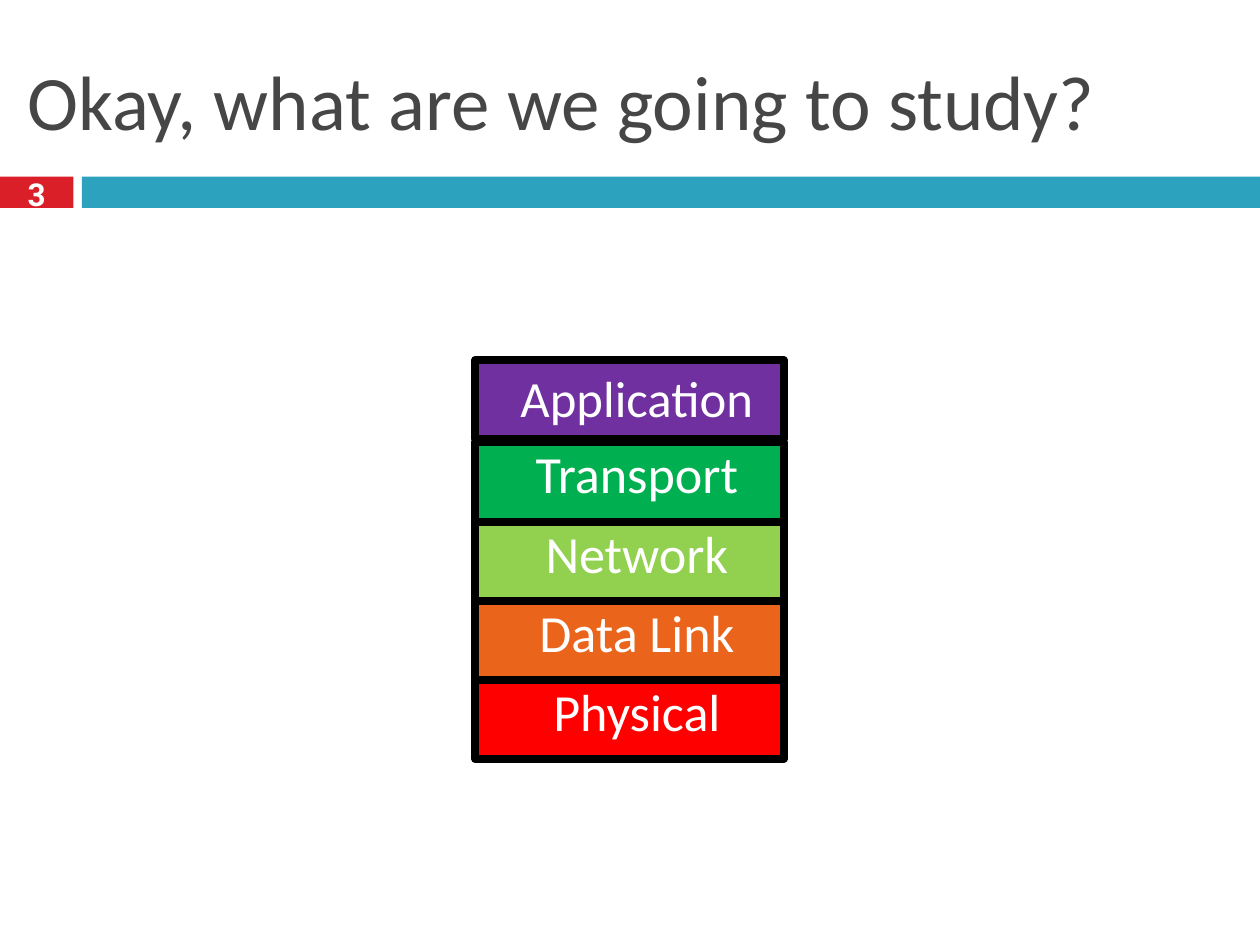
from pptx import Presentation
from pptx.dml.color import RGBColor
from pptx.enum.shapes import MSO_SHAPE
from pptx.enum.text import MSO_ANCHOR, MSO_AUTO_SIZE, PP_ALIGN
from pptx.util import Cm, Pt

COLORS = {
    "title": "464646",
    "badge": "DA1F28",
    "rule": "2DA2BF",
    "white": "FFFFFF",
    "outline": "000000",
    "application": "7030A0",
    "transport": "00B050",
    "network": "92D050",
    "data_link": "EB641B",
    "physical": "FF0000",
}

LAYERS = [
    ("Application", "application", 7.26),
    ("Transport", "transport", 8.92),
    ("Network", "network", 10.52),
    ("Data Link", "data_link", 12.11),
    ("Physical", "physical", 13.7),
]


def color(name):
    return RGBColor.from_string(COLORS[name])


def write(holder, text, size, ink="white", font="Calibri", bold=False,
          align=PP_ALIGN.CENTER, anchor=MSO_ANCHOR.MIDDLE, wrap=True,
          indent=None, before=0, spacing=1.0):
    frame = holder.text_frame
    frame.auto_size = MSO_AUTO_SIZE.NONE
    frame.word_wrap = wrap
    frame.vertical_anchor = anchor
    frame.margin_left = frame.margin_right = Cm(0.13)
    frame.margin_top = frame.margin_bottom = Cm(0.13)
    paragraph = frame.paragraphs[0]
    paragraph.alignment = align
    paragraph.space_before = Pt(before)
    paragraph.line_spacing = spacing
    if indent is not None:
        properties = paragraph._p.get_or_add_pPr()
        properties.set("marL", "0")
        properties.set("indent", str(indent))
    run = paragraph.add_run()
    run.text = text
    run.font.size = Pt(size)
    run.font.name = font
    run.font.bold = bold
    run.font.color.rgb = color(ink)


def add_block(slide, left, top, width, height, fill, outline=None):
    block = slide.shapes.add_shape(
        MSO_SHAPE.RECTANGLE, Cm(left), Cm(top), Cm(width), Cm(height))
    block.shadow.inherit = False
    block.fill.solid()
    block.fill.fore_color.rgb = color(fill)
    if outline:
        block.line.color.rgb = color(outline)
        block.line.width = Pt(4.5)
    else:
        block.line.fill.background()
    return block


def add_title(slide, text):
    title = slide.shapes.title
    title.left, title.top = Cm(0.43), Cm(0.64)
    title.width, title.height = Cm(24.56), Cm(2.74)
    write(title, text, 44, ink="title", align=PP_ALIGN.LEFT)


def add_header_band(slide, number):
    add_block(slide, 0, 3.56, 1.48, 0.63, "badge")
    add_block(slide, 1.65, 3.56, 23.75, 0.63, "rule")
    page = slide.shapes.add_textbox(Cm(0.42), Cm(3.45), Cm(0.64), Cm(0.91))
    write(page, number, 18, font="Roboto", bold=True, wrap=False)


def add_layer_stack(slide):
    for name, fill, top in LAYERS:
        layer = add_block(slide, 9.58, top, 6.22, 1.6, fill, "outline")
        is_first = name == LAYERS[0][0]
        write(layer, name, 29 if is_first else 29.8,
              anchor=MSO_ANCHOR.TOP, indent=Cm(0.3),
              before=6 if is_first else 7,
              spacing=1.0 if is_first else 0.9)


def main():
    deck = Presentation()
    deck.slide_width, deck.slide_height = Cm(25.4), Cm(19.05)
    slide = deck.slides.add_slide(deck.slide_layouts[5])
    add_title(slide, "Okay, what are we going to study?")
    add_header_band(slide, "3")
    add_layer_stack(slide)
    deck.save("out.pptx")


if __name__ == "__main__":
    main()
